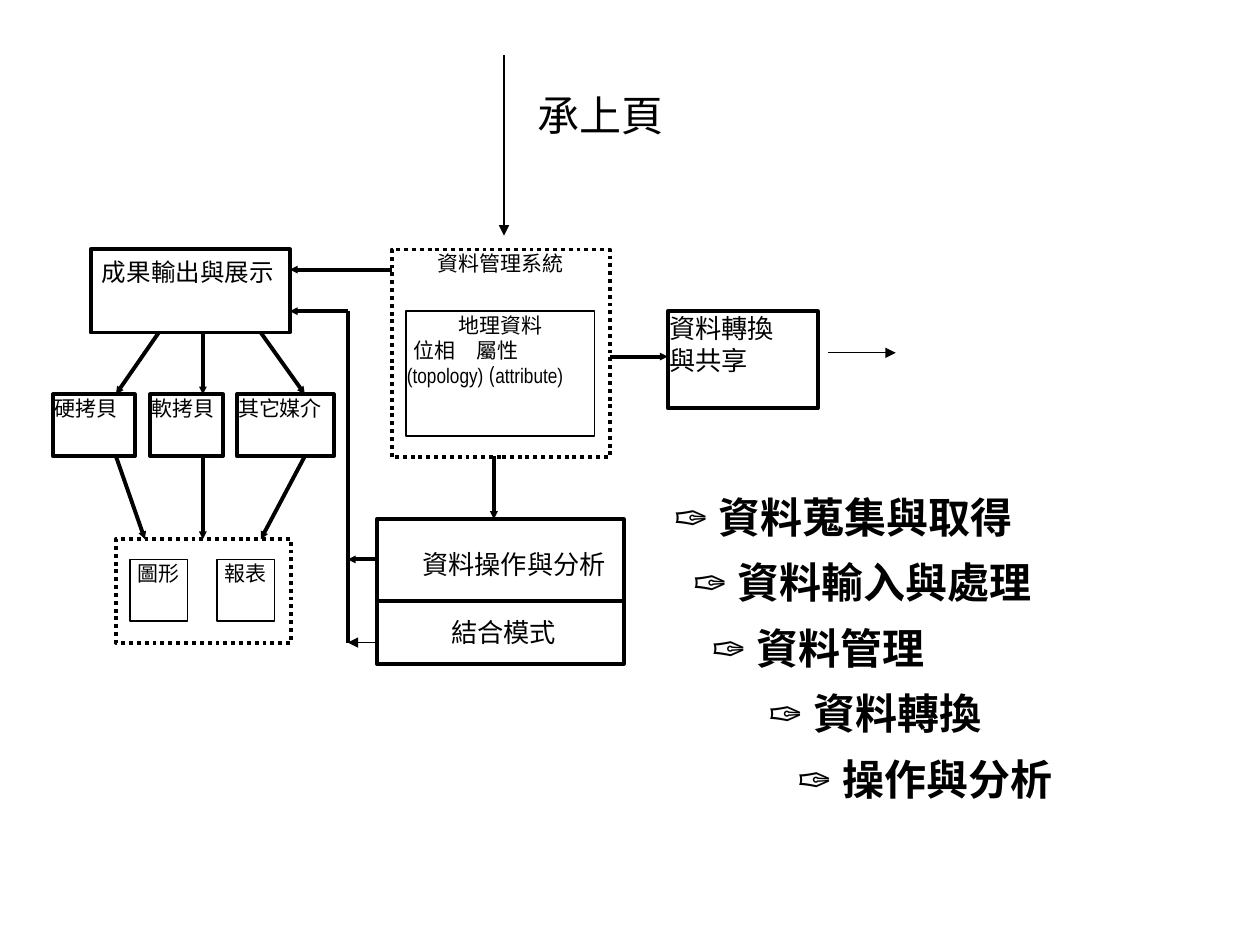
from lxml import etree
from pptx import Presentation
from pptx import util as u
from pptx.dml.color import RGBColor
from pptx.enum import dml, shapes, text
from pptx.oxml import ns

BLACK = RGBColor(0, 0, 0)
CJK, ROMAN, ARIAL, NARROW = "Noto Sans CJK JP", "Times New Roman", "Arial", "Arial Narrow"
THICK, MEDIUM, THIN = 2.25, 1, 0.75
CENTER = text.PP_ALIGN.CENTER


def add_text(p, content, font=CJK, size=12, bold=False):
    """Append a formatted run to a paragraph."""
    r = p.add_run()
    r.text = content
    r.font.name, r.font.size, r.font.bold = font, u.Pt(size), bold
    r.font.color.rgb = BLACK
    ea = etree.SubElement(r.font._element, ns.qn("a:ea"))
    ea.set("typeface", CJK if font == ROMAN else font)


def indent(p, left, tab=None):
    """Set a left indent and, if given, one tab stop, in inches."""
    pPr = p._p.get_or_add_pPr()
    pPr.set("marL", str(u.Inches(left)))
    pPr.set("indent", "0")
    if tab:
        tabs = etree.SubElement(pPr, ns.qn("a:tabLst"))
        etree.SubElement(tabs, ns.qn("a:tab"), pos=str(u.Inches(tab)), algn="l")


class Diagram:
    def __init__(self, slide):
        self.s = slide

    def frame(self, sp, margins=(0.01, 0.01), wrap=True):
        tf = sp.text_frame
        tf.word_wrap = wrap
        tf.vertical_anchor = text.MSO_ANCHOR.TOP
        tf.margin_left = tf.margin_right = u.Inches(margins[0])
        tf.margin_top = tf.margin_bottom = u.Inches(margins[1])
        return tf

    def fill_lines(self, tf, lines, align=None, **fmt):
        for i, line in enumerate(lines):
            p = tf.add_paragraph() if i else tf.paragraphs[0]
            p.alignment = align or text.PP_ALIGN.LEFT
            add_text(p, line, **fmt)

    def box(self, x, y, w, h, lines=(), width=THICK, dotted=False, **fmt):
        sp = self.s.shapes.add_shape(shapes.MSO_SHAPE.RECTANGLE, *map(u.Inches, (x, y, w, h)))
        sp.shadow.inherit = False
        sp.fill.background()
        sp.line.color.rgb = BLACK
        sp.line.width = u.Pt(width)
        if dotted:
            sp.line.dash_style = dml.MSO_LINE.ROUND_DOT
        tf = self.frame(sp)
        self.fill_lines(tf, lines, **fmt)
        return tf

    def label(self, x, y, w, h, lines=(), margins=(0.01, 0.01), wrap=True, **fmt):
        sp = self.s.shapes.add_textbox(*map(u.Inches, (x, y, w, h)))
        tf = self.frame(sp, margins, wrap)
        self.fill_lines(tf, lines, **fmt)
        return tf

    def line(self, x1, y1, x2, y2, width=THICK, arrow=True):
        c = self.s.shapes.add_connector(
            shapes.MSO_CONNECTOR.STRAIGHT, *map(u.Inches, (x1, y1, x2, y2)))
        c.line.color.rgb = BLACK
        c.line.width = u.Pt(width)
        if arrow:
            size = "sm" if width == THICK else "med"
            etree.SubElement(c.line._get_or_add_ln(), ns.qn("a:tailEnd"),
                             type="triangle", w=size, len=size)
        etree.SubElement(c._element.spPr, ns.qn("a:effectLst"))


def main():
    prs = Presentation()
    prs.slide_width, prs.slide_height = u.Inches(10), u.Inches(7.5)
    d = Diagram(prs.slides.add_slide(prs.slide_layouts[6]))

    # Data management system
    d.box(3.11, 1.98, 1.73, 1.65, dotted=True)
    geo = d.box(3.22, 2.47, 1.5, 0.99, ["地理資料"], width=MEDIUM, align=CENTER)
    p = geo.add_paragraph()
    p.alignment = text.PP_ALIGN.LEFT
    indent(p, 0.05, tab=0.56)
    add_text(p, "位相\t屬性")
    p = geo.add_paragraph()
    p.alignment = text.PP_ALIGN.LEFT
    for part, font in (("(topology)", NARROW), (" (", CJK), ("attribute)", NARROW)):
        add_text(p, part, font=font)
    d.label(3.34, 1.98, 1.27, 0.5, ["資料管理系統"], align=CENTER)

    # Conversion and sharing
    d.line(4.84, 2.83, 5.3, 2.83)
    d.box(5.3, 2.47, 1.19, 0.77, ["資料轉換", "與共享"], size=15)
    d.line(6.57, 2.8, 7.11, 2.8, THIN)

    # Operation and analysis
    d.box(2.99, 4.12, 1.96, 1.15)
    d.line(2.99, 4.77, 4.95, 4.77, arrow=False)
    d.label(3.34, 4.34, 1.54, 0.33, ["資料操作與分析"], size=15)
    d.label(3.57, 4.88, 0.92, 0.28, ["結合模式"], size=15, font=ROMAN)
    d.line(3.92, 3.62, 3.92, 4.12)

    # Return path to the output box
    d.line(2.76, 2.47, 2.76, 5.1, arrow=False)
    d.line(2.99, 4.44, 2.76, 4.44)
    d.line(2.99, 5.1, 2.76, 5.1, THIN)
    d.line(2.76, 2.47, 2.3, 2.47)
    d.line(3.11, 2.14, 2.3, 2.14)

    # Output and its media
    d.box(0.72, 1.98, 1.58, 0.66)
    d.label(0.8, 2.03, 1.46, 0.49, ["成果輸出與展示"], size=14, font=ROMAN)
    for x, w, name, font in ((0.42, 0.65, "硬拷貝", ROMAN), (1.19, 0.58, "軟拷貝", ROMAN),
                             (1.88, 0.77, "其它媒介", CJK)):
        d.box(x, 3.13, w, 0.49, [name], font=font)

    # Products
    d.box(0.92, 4.28, 1.39, 0.82, dotted=True)
    for x, name in ((1.03, "圖形"), (1.72, "報表")):
        d.box(x, 4.44, 0.46, 0.49, [name], width=MEDIUM, align=CENTER)

    # Arrows from output through each medium to the products
    for start, medium, end in ((1.26, 0.92, 1.15), (1.61, 1.61, 1.61), (2.07, 2.42, 2.07)):
        d.line(start, 2.64, medium, 3.13)
        d.line(medium, 3.62, end, 4.28)

    # Stepped list of stages
    stages = d.label(5.25, 3.73, 4.56, 2.7, margins=(0.1, 0.05))
    steps = ((0, "資料蒐集與取得"), (0.15, "資料輸入與處理"), (0.3, "資料管理"),
             (0.75, "資料轉換"), (0.98, "操作與分析"))
    for i, (left, name) in enumerate(steps):
        p = stages.add_paragraph() if i else stages.paragraphs[0]
        p.line_spacing = 1.3
        indent(p, left)
        add_text(p, "✑", font=ARIAL, size=24, bold=True)
        add_text(p, " " + name, size=24, bold=True)

    # Link from the preceding page
    d.line(4, 0.44, 4, 1.87, THIN)
    d.label(4.17, 0.66, 1.2, 0.5, ["承上頁"], margins=(0.1, 0.05), wrap=False,
            size=24, font=ROMAN)

    prs.save("out.pptx")


if __name__ == "__main__":
    main()
